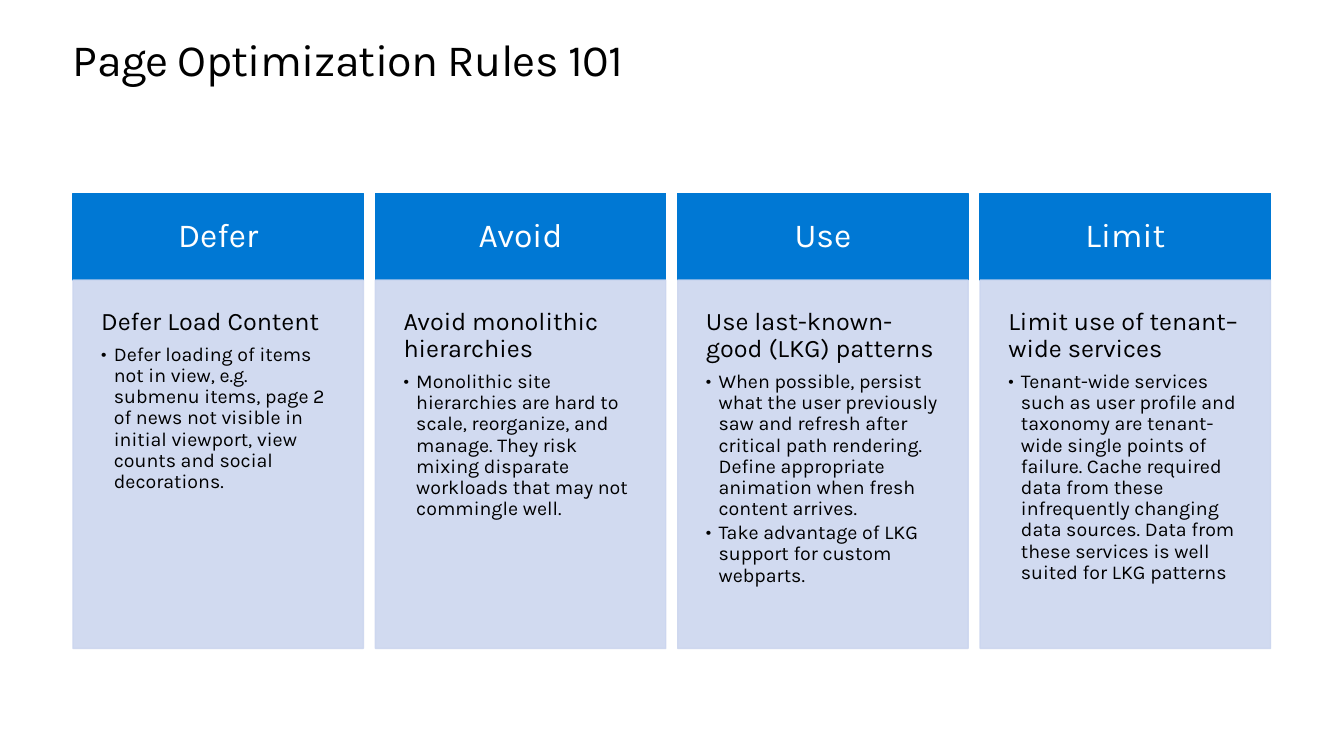
from lxml.etree import SubElement
from pptx import Presentation
from pptx.dml.color import RGBColor
from pptx.enum.shapes import MSO_SHAPE
from pptx.enum.text import MSO_ANCHOR, PP_ALIGN
from pptx.oxml.ns import qn
from pptx.util import Cm, Pt

TITLE = "Page Optimization Rules 101"
RULES = [
    ("Defer", "Defer Load Content", [
        "Defer loading of items not in view, e.g. submenu items, page 2 of news "
        "not visible in initial viewport, view counts and social decorations.",
    ]),
    ("Avoid", "Avoid monolithic hierarchies", [
        "Monolithic site hierarchies are hard to scale, reorganize, and manage. "
        "They risk mixing disparate workloads that may not commingle well.",
    ]),
    ("Use", "Use last-known-good (LKG) patterns", [
        "When possible, persist what the user previously saw and refresh after "
        "critical path rendering. Define appropriate animation when fresh "
        "content arrives.",
        "Take advantage of LKG support for custom webparts.",
    ]),
    ("Limit", "Limit use of tenant–wide services", [
        "Tenant-wide services such as user profile and taxonomy are tenant-wide "
        "single points of failure. Cache required data from these infrequently "
        "changing data sources. Data from these services is well suited for "
        "LKG patterns",
    ]),
]
FONT = "Karla"
BLUE, PALE, BLACK, WHITE = "0078D4", "CCD6EF", "000000", "FFFFFF"
LEFT, TOP, PITCH, WIDTH = 1.84, 4.87, 7.62, 7.32
HEAD_H, BODY_H = 2.19, 9.28
INDENT = 0.32


def rgb(color):
    return RGBColor.from_string(color)


def set_insets(tf, inset):
    tf.word_wrap = True
    tf.margin_left = tf.margin_right = Cm(inset)
    tf.margin_top = tf.margin_bottom = Cm(inset)


def add_run(p, text, size, color):
    r = p.add_run()
    r.text = text
    r.font.name = FONT
    r.font.size = Pt(size)
    r.font.color.rgb = rgb(color)
    return r


def add_panel(x, y, h, color, inset, anchor):
    """Add a filled column rectangle and return it."""
    sp = s.shapes.add_shape(MSO_SHAPE.RECTANGLE, Cm(x), Cm(y), Cm(WIDTH), Cm(h))
    sp.shadow.inherit = False
    sp.fill.solid()
    sp.fill.fore_color.rgb = rgb(color)
    sp.line.color.rgb = rgb(color)
    sp.line.width = Pt(1)
    set_insets(sp.text_frame, inset)
    sp.text_frame.vertical_anchor = anchor
    return sp


def set_opacity(sp, percent):
    """Apply the opacity to both fill and line."""
    for clr in sp.element.spPr.iter(qn("a:srgbClr")):
        SubElement(clr, qn("a:alpha"), val=str(percent * 1000))


def format_paragraph(p, align, after):
    p.alignment = align
    p.line_spacing = 0.9
    p.space_after = Pt(after)


def add_bullet(p):
    p.level = 1
    pPr = p._p.get_or_add_pPr()
    pPr.set("marL", str(Cm(INDENT)))
    pPr.set("indent", str(-Cm(INDENT)))
    SubElement(pPr, qn("a:buFont"), typeface=FONT)
    SubElement(pPr, qn("a:buChar"), char="•")


prs = Presentation()
prs.slide_width, prs.slide_height = Cm(33.87), Cm(19.05)
s = prs.slides.add_slide(prs.slide_layouts[6])

title = s.shapes.add_textbox(Cm(1.84), Cm(0.88), Cm(30.23), Cm(1.27))
set_insets(title.text_frame, 0)
p = title.text_frame.paragraphs[0]
p.line_spacing = Pt(36.2)
r = add_run(p, TITLE, 32, BLACK)
r.font._element.set("spc", "-50")

for i, (verb, heading, points) in enumerate(RULES):
    x = LEFT + i * PITCH

    head = add_panel(x, TOP, HEAD_H, BLUE, 0.58, MSO_ANCHOR.MIDDLE)
    p = head.text_frame.paragraphs[0]
    format_paragraph(p, PP_ALIGN.CENTER, 8.4)
    add_run(p, verb, 24, WHITE)

    body = add_panel(x, TOP + HEAD_H, BODY_H, PALE, 0.71, MSO_ANCHOR.TOP)
    set_opacity(body, 90)
    tf = body.text_frame
    p = tf.paragraphs[0]
    format_paragraph(p, PP_ALIGN.LEFT, 6.3)
    add_run(p, heading, 18, BLACK)
    for point in points:
        p = tf.add_paragraph()
        format_paragraph(p, PP_ALIGN.LEFT, 2.1)
        add_bullet(p)
        add_run(p, point, 14, BLACK)

prs.save("out.pptx")
